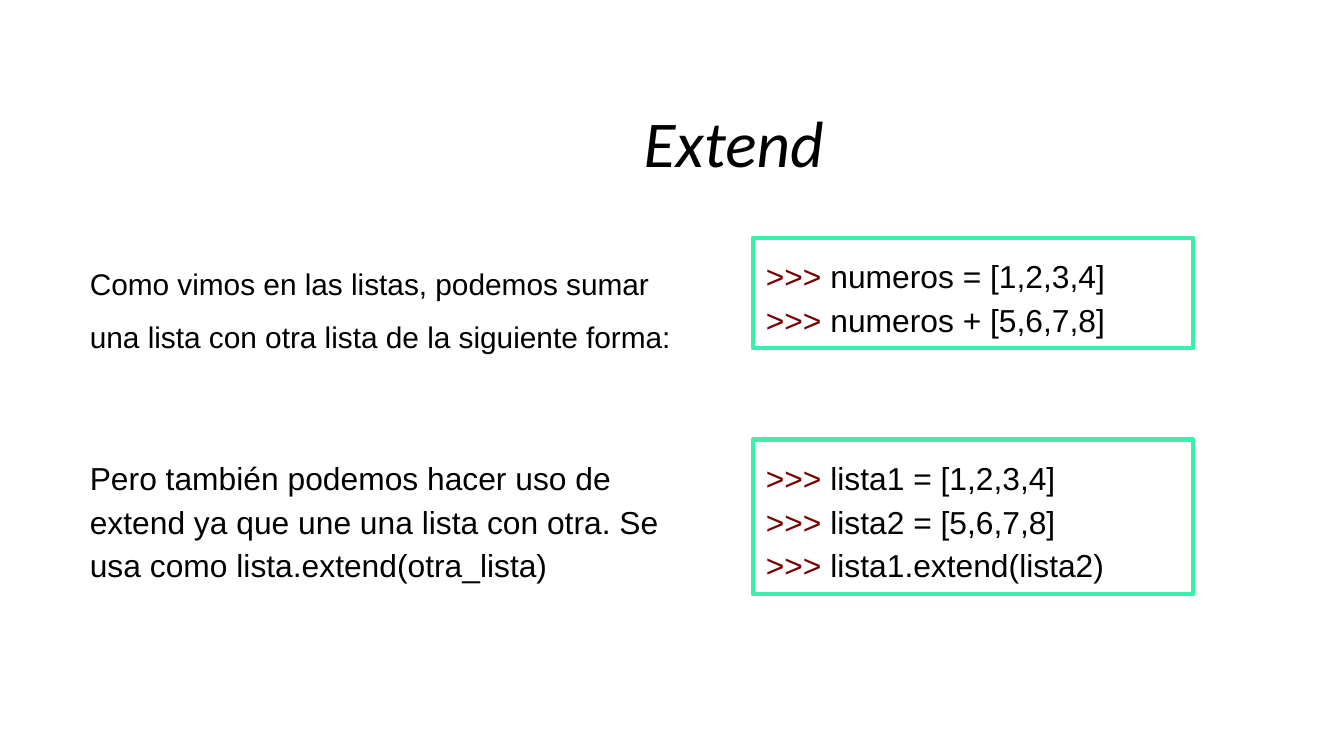
import pptx
import pptx.dml.color
import pptx.enum.shapes
import pptx.enum.text
import pptx.util

Inches = pptx.util.Inches
PROMPT = ">>>"
LEFT_MARGIN, CODE_LEFT, CODE_WIDTH = 0.57, 5.6, 3.28
BLACK, PROMPT_RED, BORDER_GREEN = "000000", "770000", "3CEFAB"


def color(hex_value):
    return pptx.dml.color.RGBColor.from_string(hex_value)


def style_run(run, size, hex_value=BLACK, font="Arial", italic=False):
    run.font.name = font
    run.font.size = pptx.util.Pt(size)
    run.font.italic = italic
    run.font.color.rgb = color(hex_value)


def prepare_frame(frame):
    frame.word_wrap = True
    frame.margin_left = frame.margin_right = Inches(0.1)
    frame.margin_top = frame.margin_bottom = Inches(0.1)
    frame.vertical_anchor = pptx.enum.text.MSO_ANCHOR.TOP
    frame.auto_size = pptx.enum.text.MSO_AUTO_SIZE.SHAPE_TO_FIT_TEXT


def add_text(slide, text, left, top, width, height, size, spacing=1.0, **font_style):
    box = slide.shapes.add_textbox(Inches(left), Inches(top), Inches(width), Inches(height))
    frame = box.text_frame
    prepare_frame(frame)
    frame.text = text
    paragraph = frame.paragraphs[0]
    paragraph.line_spacing = spacing
    style_run(paragraph.runs[0], size, **font_style)
    return frame


def add_title(slide, text):
    frame = add_text(slide, text, 3.22, 0.51, 4.48, 1.08, 35, font="Calibri", italic=True)
    frame.auto_size = pptx.enum.text.MSO_AUTO_SIZE.NONE
    frame.vertical_anchor = pptx.enum.text.MSO_ANCHOR.MIDDLE
    frame.paragraphs[0].alignment = pptx.enum.text.PP_ALIGN.CENTER


def add_code(slide, statements, top, height):
    panel = slide.shapes.add_shape(
        pptx.enum.shapes.MSO_SHAPE.RECTANGLE,
        Inches(CODE_LEFT), Inches(top), Inches(CODE_WIDTH), Inches(height))
    panel.shadow.inherit = False
    panel.fill.background()
    panel.line.color.rgb = color(BORDER_GREEN)
    panel.line.width = pptx.util.Pt(2.25)
    frame = panel.text_frame
    prepare_frame(frame)
    frame.text = "\n".join([PROMPT] * len(statements))
    for paragraph, statement in zip(frame.paragraphs, statements):
        paragraph.alignment = pptx.enum.text.PP_ALIGN.LEFT
        paragraph.line_spacing = 1.15
        style_run(paragraph.runs[0], 17, PROMPT_RED)
        code = paragraph.add_run()
        code.text = " " + statement
        style_run(code, 17)


def main():
    deck = pptx.Presentation()
    deck.slide_width = Inches(10)
    deck.slide_height = Inches(10 * 9 / 16)
    slide = deck.slides.add_slide(deck.slide_layouts[6])

    add_title(slide, "Extend")
    add_code(slide, ["numeros = [1,2,3,4]", "numeros + [5,6,7,8]"], 1.77, 0.82)
    add_text(
        slide,
        "Como vimos en las listas, podemos sumar una lista con otra lista "
        "de la siguiente forma:",
        LEFT_MARGIN, 1.74, 4.72, 0.88, 16, spacing=1.5)
    add_text(
        slide,
        "Pero también podemos hacer uso de extend ya que une una lista con otra. "
        "Se usa como lista.extend(otra_lista)",
        LEFT_MARGIN, 3.27, 4.85, 1.15, 17, spacing=1.15)
    add_code(
        slide,
        ["lista1 = [1,2,3,4]", "lista2 = [5,6,7,8]", "lista1.extend(lista2)"],
        3.27, 1.15)

    deck.save("out.pptx")


if __name__ == "__main__":
    main()
